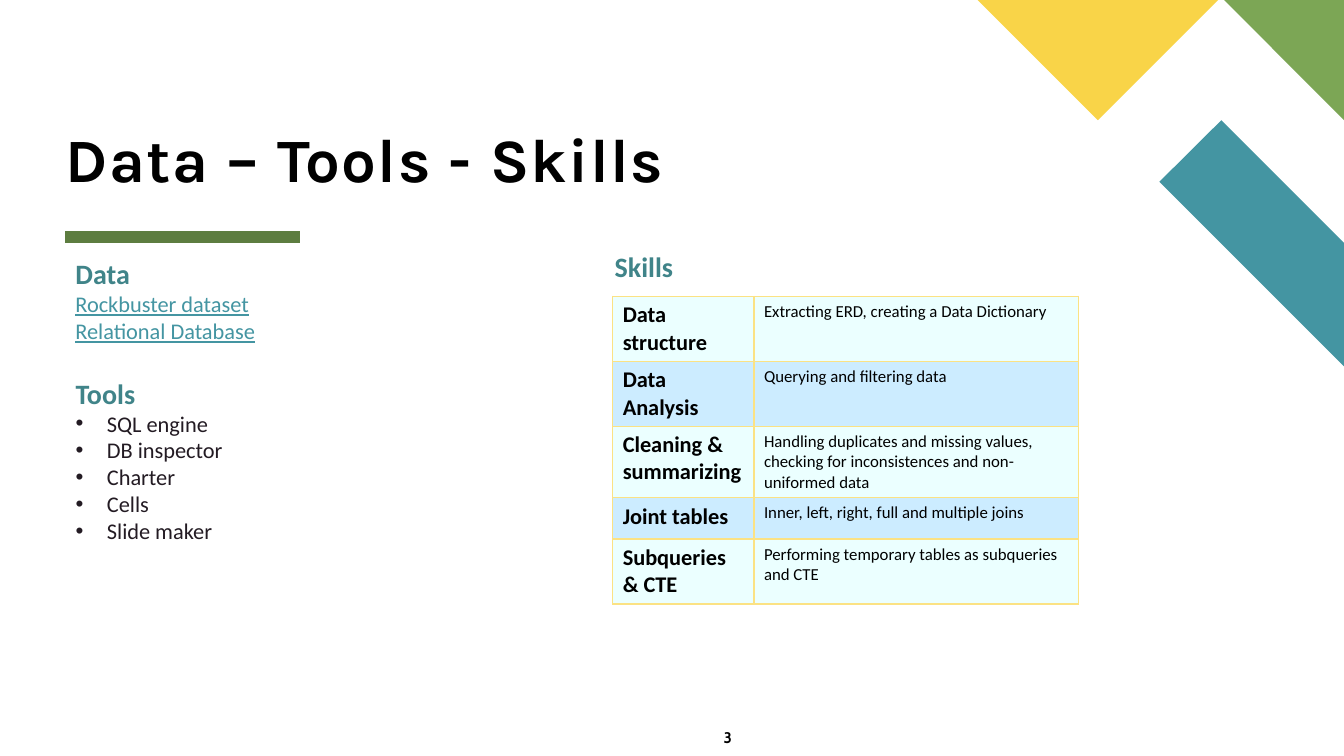
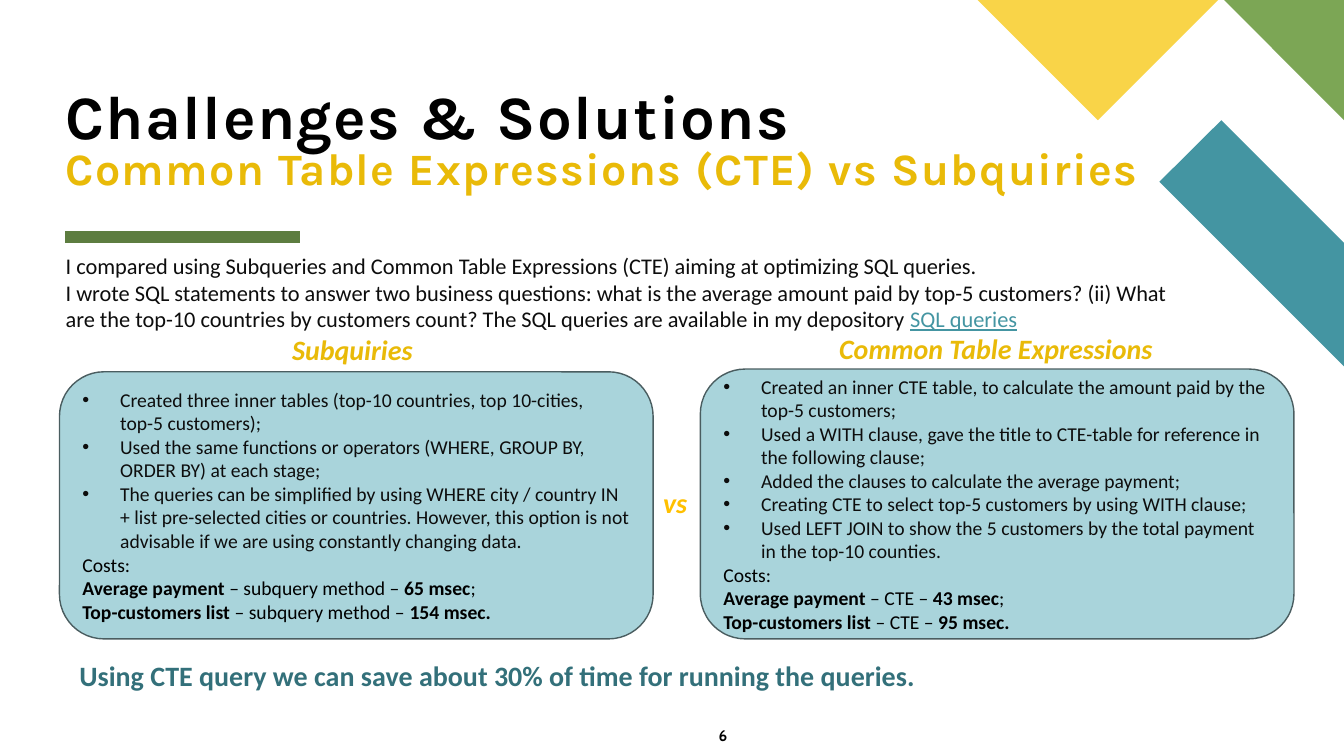
from collections import namedtuple

import pptx
import pptx.dml.color
import pptx.enum.shapes
import pptx.enum.text
import pptx.oxml
import pptx.oxml.ns
import pptx.util

Cm = pptx.util.Cm
Pt = pptx.util.Pt
RGBColor = pptx.dml.color.RGBColor
ANCHOR = pptx.enum.text.MSO_ANCHOR
SHAPE = pptx.enum.shapes.MSO_SHAPE

BLACK = RGBColor(0x00, 0x00, 0x00)
INK = RGBColor(0x0D, 0x0D, 0x0D)
PLUM = RGBColor(0x23, 0x1B, 0x23)
TEAL = RGBColor(0x44, 0x95, 0xA2)
HEADING_TEAL = RGBColor(0x40, 0x84, 0x89)
DARK_TEAL = RGBColor(0x33, 0x70, 0x7A)
GREEN = RGBColor(0x7C, 0xA6, 0x55)
DARK_GREEN = RGBColor(0x5D, 0x7D, 0x40)
YELLOW = RGBColor(0xF9, 0xD4, 0x48)
GOLD = RGBColor(0xE9, 0xBA, 0x08)
AMBER = RGBColor(0xFF, 0xC0, 0x00)
PANEL_FILL = RGBColor(0xA9, 0xD4, 0xDB)
PANEL_LINE = RGBColor(0x4A, 0x5D, 0x60)
TABLE_LINE = RGBColor(0xFB, 0xE2, 0x84)
ROW_FILLS = RGBColor(0xEB, 0xFF, 0xFF), RGBColor(0xCC, 0xEC, 0xFF)

TITLE_FONT, BODY_FONT, NUMBER_FONT = "Karla", "Calibri", "Cabin"
LEFT = 1.65
LIST_INDENT, PANEL_INDENT = 0.79, 0.95

Run = namedtuple("Run", "text size color bold italic underline font spacing",
                 defaults=(16, INK, False, False, False, BODY_FONT, 0))
Para = namedtuple("Para", "runs indent", defaults=(0,))


def heading(text, color=HEADING_TEAL, italic=False):
    return Para([Run(text, 20, color, bold=True, italic=italic)])


def link(text):
    return Run(text, color=TEAL, underline=True)


def title_run(text, size=44, color=BLACK):
    return Run(text, size, color, bold=True, font=TITLE_FONT, spacing=1)


def sub_element(parent, tag, **attributes):
    child = pptx.oxml.parse_xml(f"<a:{tag} {pptx.oxml.ns.nsdecls('a')}/>")
    for name, value in attributes.items():
        child.set(name, str(value))
    parent.append(child)
    return child


class Deck:
    """Holds the shared style and the slide being filled."""

    def __init__(self):
        self.prs = pptx.Presentation()
        self.prs.slide_width, self.prs.slide_height = Cm(33.87), Cm(19.05)
        self.layout = self.prs.slide_layouts[1]
        self.s = None

    def new_slide(self, title_lines, number, number_at):
        first = self.s is None
        self.s = self.prs.slides.add_slide(self.layout)
        if first:
            self.decorate_layout()
        sp = self.s.shapes.title
        self.place(sp, LEFT, 0.76, 27.15, 4.14)
        tf = sp.text_frame
        self.prepare(tf, ANCHOR.BOTTOM, inset=False)
        p = tf.paragraphs[0]
        p.alignment = pptx.enum.text.PP_ALIGN.LEFT
        p.line_spacing = 0.8
        for i, run in enumerate(title_lines):
            if i:
                p.add_line_break()
            self.add_run(p, run)
        self.text(*number_at, 1.45, 0.69,
                  [Para([Run(number, 11, BLACK, True, font=NUMBER_FONT)])],
                  inset=False)

    def decorate_layout(self):
        """Draw the corner shapes and title rule, then move them to the layout."""
        corner = [
            (TEAL, [(33.87, 9.23), (33.87, 6.12), (30.78, 3.03), (29.22, 4.58)]),
            (GREEN, [(33.87, 3.03), (33.87, 0), (30.85, 0)]),
            (YELLOW, [(24.64, 0), (27.67, 3.03), (30.7, 0)]),
        ]
        for color, points in corner:
            points = [(Cm(x), Cm(y)) for x, y in points]
            builder = self.s.shapes.build_freeform(*points[0])
            builder.add_line_segments(points[1:])
            sp = builder.convert_to_shape()
            sp.shadow.inherit = False
            sp.fill.solid()
            sp.fill.fore_color.rgb = color
            sp.line.fill.background()
            self.layout.shapes.element.append(sp.element)
        rule = self.s.shapes.add_connector(
            pptx.enum.shapes.MSO_CONNECTOR.STRAIGHT,
            Cm(LEFT), Cm(5.97), Cm(7.57), Cm(5.97))
        rule.line.color.rgb = DARK_GREEN
        rule.line.width = Pt(8)
        sub_element(rule.element.spPr, "effectLst")
        self.layout.shapes.element.append(rule.element)

    def place(self, sp, x, y, w, h):
        sp.left, sp.top, sp.width, sp.height = Cm(x), Cm(y), Cm(w), Cm(h)

    def prepare(self, tf, anchor=ANCHOR.TOP, inset=True):
        tf.word_wrap = True
        tf.auto_size = pptx.enum.text.MSO_AUTO_SIZE.NONE
        tf.vertical_anchor = anchor
        if not inset:
            tf.margin_left = tf.margin_right = tf.margin_top = tf.margin_bottom = 0

    def add_run(self, p, run):
        r = p.add_run()
        r.text = run.text
        font = r.font
        font.name, font.size, font.bold = run.font, Pt(run.size), run.bold
        font.italic, font.underline = run.italic, run.underline
        font.color.rgb = run.color
        if run.spacing:
            r._r.get_or_add_rPr().set("spc", str(run.spacing * 100))

    def add_paragraphs(self, tf, paras):
        for i, para in enumerate(paras):
            p = tf.add_paragraph() if i else tf.paragraphs[0]
            p.alignment = pptx.enum.text.PP_ALIGN.LEFT
            p.space_before = Pt(0)
            pPr = p._p.get_or_add_pPr()
            pPr.set("marL", str(Cm(para.indent)))
            pPr.set("indent", str(-Cm(para.indent)))
            if para.indent:
                sub_element(pPr, "buFont", typeface="Arial")
                sub_element(pPr, "buChar", char="•")
            else:
                sub_element(pPr, "buNone")
            for run in para.runs:
                self.add_run(p, run)

    def text(self, x, y, w, h, paras, inset=True):
        sp = self.s.shapes.add_textbox(Cm(x), Cm(y), Cm(w), Cm(h))
        self.prepare(sp.text_frame, inset=inset)
        self.add_paragraphs(sp.text_frame, paras)

    def body(self, x, y, w, h, paras):
        sp = self.s.placeholders[1]
        self.place(sp, x, y, w, h)
        self.prepare(sp.text_frame)
        self.add_paragraphs(sp.text_frame, paras)

    def panel(self, x, y, w, h, paras):
        sp = self.s.shapes.add_shape(SHAPE.FLOWCHART_ALTERNATE_PROCESS,
                                     Cm(x), Cm(y), Cm(w), Cm(h))
        sp.shadow.inherit = False
        sp.fill.solid()
        sp.fill.fore_color.rgb = PANEL_FILL
        sp.line.color.rgb = PANEL_LINE
        sp.line.width = Pt(1)
        self.prepare(sp.text_frame, ANCHOR.MIDDLE)
        self.add_paragraphs(sp.text_frame, paras)

    def table(self, x, y, col_widths, row_heights, rows):
        table = self.s.shapes.add_table(
            len(rows), len(col_widths), Cm(x), Cm(y),
            Cm(sum(col_widths)), Cm(sum(row_heights))).table
        table.first_row = table.horz_banding = False
        for column, width in zip(table.columns, col_widths):
            column.width = Cm(width)
        for i, (values, height) in enumerate(zip(rows, row_heights)):
            table.rows[i].height = Cm(height)
            for j, value in enumerate(values):
                cell = table.cell(i, j)
                self.border(cell)
                cell.fill.solid()
                cell.fill.fore_color.rgb = ROW_FILLS[i % 2]
                size, bold = (12, False) if j else (16, True)
                self.add_paragraphs(cell.text_frame,
                                    [Para([Run(value, size, BLACK, bold)])])

    def border(self, cell):
        tcPr = cell._tc.get_or_add_tcPr()
        for side in ("lnL", "lnR", "lnT", "lnB"):
            ln = sub_element(tcPr, side, w=Pt(1))
            sub_element(sub_element(ln, "solidFill"), "srgbClr", val=TABLE_LINE)


def method_notes(bullets, method, average, top):
    """Paragraphs of a panel: bullets, then the costs of the method."""
    def plain(text):
        return Run(text, 14, BLACK)

    def strong(text):
        return Run(text, 14, BLACK, bold=True)

    return [Para([Run(text, 14)], PANEL_INDENT) for text in bullets] + [
        Para([plain("Costs:")]),
        Para([strong("Average payment "), plain(f"– {method} – "),
              strong(average), plain(";")]),
        Para([strong("Top-customers list "), plain(f"– {method} – "), strong(top)]),
    ]


def add_skills_slide(deck):
    deck.new_slide([title_run("Data – Tools - Skills")], "3", (18.24, 18.36))
    deck.text(LEFT, 6.35, 11.18, 3.18, [
        heading("Data"),
        Para([link("Rockbuster dataset")]),
        Para([link("Relational Database")]),
    ])
    tools = ["SQL engine", "DB inspector", "Charter", "Cells", "Slide maker"]
    deck.body(LEFT, 9.35, 4.8, 4.52, [heading("Tools")] + [
        Para([Run(tool, color=PLUM)], LIST_INDENT) for tool in tools])
    deck.text(15.24, 6.15, 4.45, 1.12, [heading("Skills")])
    deck.table(15.44, 7.47, (3.56, 8.18), (1.62, 1.62, 1.78, 1.04, 1.62), [
        ("Data structure", "Extracting ERD, creating a Data Dictionary"),
        ("Data Analysis", "Querying and filtering data"),
        ("Cleaning & summarizing", "Handling duplicates and missing values, "
         "checking for inconsistences and non-uniformed data"),
        ("Joint tables", "Inner, left, right, full and multiple joins"),
        ("Subqueries & CTE", "Performing temporary tables as subqueries and CTE"),
    ])


def add_challenges_slide(deck):
    deck.new_slide([
        title_run("Challenges & Solutions"),
        title_run("Common Table Expressions (CTE) vs Subquiries", 32, GOLD),
    ], "6", (18.11, 18.29))
    deck.body(1.4, 6.22, 28.65, 2.31, [
        Para([Run("I compared using Subqueries and Common Table Expressions (CTE) "
                  "aiming at optimizing SQL queries.")]),
        Para([Run("I wrote SQL statements to answer two business questions: what is "
                  "the average amount paid by top-5 customers? (ii) What are the "
                  "top-10 countries by customers count? The SQL queries are "
                  "available in my depository "),
              link("SQL queries")]),
    ])
    deck.panel(1.5, 9.37, 14.96, 6.73, method_notes([
        "Created three inner tables (top-10 countries, top 10-cities, "
        "top-5 customers);",
        "Used the same functions or operators (WHERE, GROUP BY, ORDER BY) "
        "at each stage;",
        "The queries can be simplified by using WHERE city / country IN + list "
        "pre-selected cities or countries. However, this option is not advisable "
        "if we are using constantly changing data.",
    ], "subquery method", "65 msec", "154 msec."))
    deck.panel(17.65, 9.3, 14.96, 6.8, method_notes([
        "Created an inner CTE table, to calculate the amount paid by the "
        "top-5 customers;",
        "Used a WITH clause, gave the title to CTE-table for reference in the "
        "following clause;",
        "Added the clauses to calculate the average payment;",
        "Creating CTE to select top-5 customers by using WITH clause;",
        "Used LEFT JOIN to show the 5 customers by the total payment in the "
        "top-10 counties.",
    ], "CTE", "43 msec", "95 msec."))
    deck.text(7.11, 8.26, 4, 1.12, [heading("Subquiries", GOLD, True)])
    deck.text(20.9, 8.22, 9, 1.12, [heading("Common Table Expressions", GOLD, True)])
    deck.text(16.46, 12.12, 1.5, 1.12, [heading("vs", AMBER, True)])
    deck.text(1.75, 16.48, 23, 1.12, [heading(
        "Using CTE query we can save about 30% of time for running the queries.",
        DARK_TEAL)])


def main():
    deck = Deck()
    add_skills_slide(deck)
    add_challenges_slide(deck)
    deck.prs.save("out.pptx")


if __name__ == "__main__":
    main()
